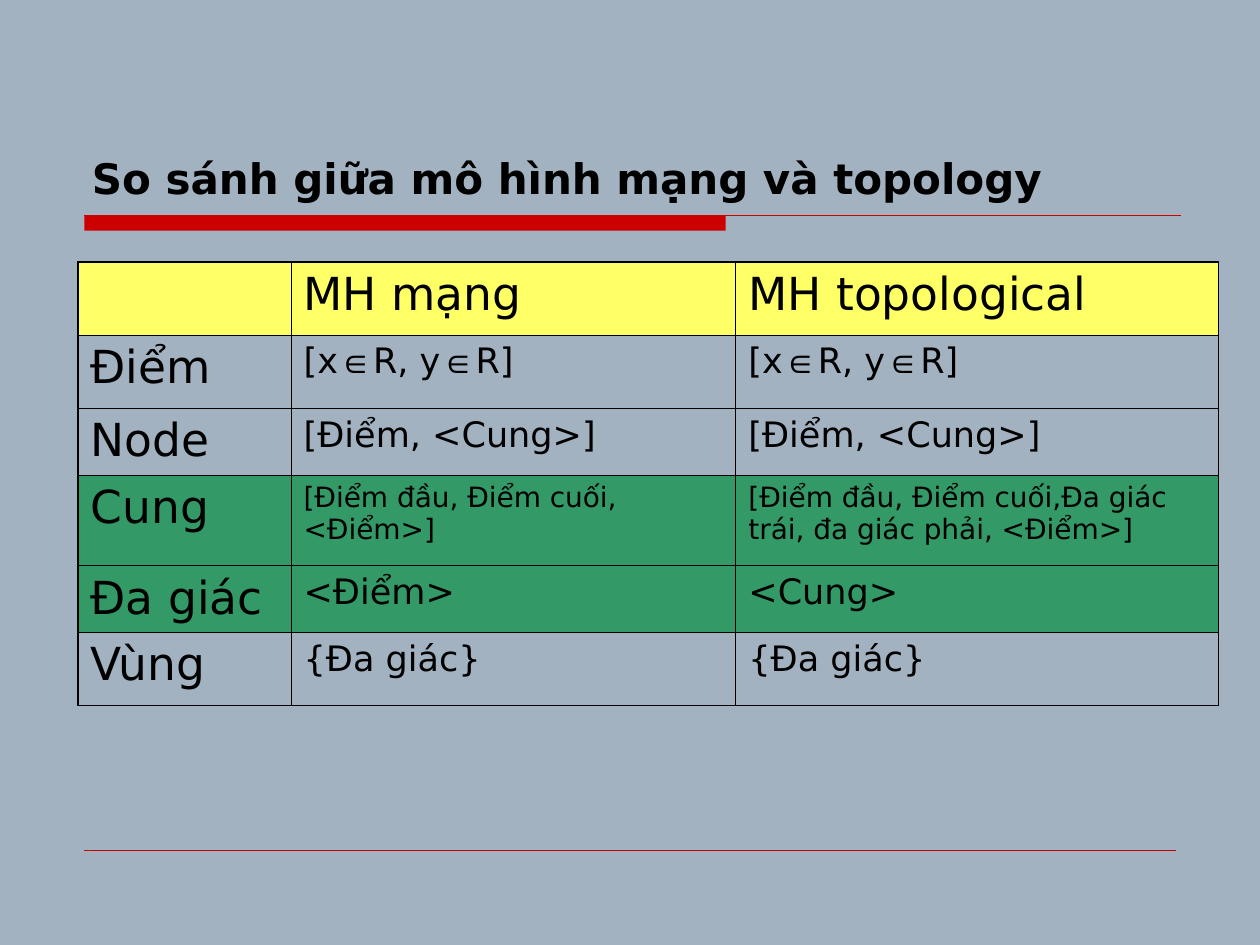
from dataclasses import dataclass

from lxml.etree import SubElement
from pptx import Presentation
from pptx.dml.color import RGBColor as RGB
from pptx.enum.shapes import MSO_CONNECTOR as Connector, MSO_SHAPE as Shape
from pptx.enum.text import MSO_ANCHOR as Anchor, MSO_AUTO_SIZE as AutoSize, PP_ALIGN as Align
from pptx.oxml.ns import qn
from pptx.util import Inches, Pt


@dataclass(frozen=True)
class Theme:
    background: RGB = RGB.from_string("A3B2C1")
    accent: RGB = RGB.from_string("CC0000")
    text: RGB = RGB.from_string("000000")
    header: RGB = RGB.from_string("FFFF66")
    highlight: RGB = RGB.from_string("339966")
    font: str = "DejaVu Sans"
    symbol_font: str = "Arial"
    title_size: int = 24
    label_size: int = 26
    body_size: int = 20
    small_size: int = 16
    inner_border: float = 0.45
    outer_border: float = 1.08


THEME = Theme()
COLUMN_WIDTHS = (1.69, 3.53, 3.83)
ROWS = (
    (0.58, THEME.header, THEME.label_size, ("", "MH mạng", "MH topological")),
    (0.58, None, THEME.body_size, ("Điểm", "[x∈R, y∈R]", "[x∈R, y∈R]")),
    (0.53, None, THEME.body_size, ("Node", "[Điểm, <Cung>]", "[Điểm, <Cung>]")),
    (0.72, THEME.highlight, THEME.small_size, (
        "Cung",
        "[Điểm đầu, Điểm cuối, <Điểm>]",
        "[Điểm đầu, Điểm cuối,Đa giác trái, đa giác phải, <Điểm>]",
    )),
    (0.53, THEME.highlight, THEME.body_size, ("Đa giác", "<Điểm>", "<Cung>")),
    (0.58, None, THEME.body_size, ("Vùng", "{Đa giác}", "{Đa giác}")),
)


def apply_format(target, values):
    for name, value in values.items():
        setattr(target, name, value)


def add_run(paragraph, text, size, font=THEME.font, bold=False):
    run = paragraph.add_run()
    run.text = text
    apply_format(run.font, {"name": font, "size": Pt(size), "bold": bold})
    run.font.color.rgb = THEME.text


def add_title(slide, text, left, top, width, height):
    title = slide.shapes.title
    apply_format(title, {"left": left, "top": top, "width": width, "height": height})
    apply_format(title.text_frame, {
        "vertical_anchor": Anchor.BOTTOM,
        "auto_size": AutoSize.NONE,
        "word_wrap": True,
    })
    paragraph = title.text_frame.paragraphs[0]
    paragraph.alignment = Align.LEFT
    add_run(paragraph, text, THEME.title_size, bold=True)


def add_rule(slide, left, top, width, weight):
    rule = slide.shapes.add_connector(Connector.STRAIGHT, left, top, left + width, top)
    rule.line.color.rgb = THEME.accent
    rule.line.width = Pt(weight)
    SubElement(rule._element.spPr, qn("a:effectLst"))


def add_title_bar(slide, left, top, width, height, bar_width):
    bar = slide.shapes.add_shape(Shape.RECTANGLE, left, top, bar_width, height)
    bar.shadow.inherit = False
    bar.fill.solid()
    bar.fill.fore_color.rgb = THEME.accent
    bar.line.fill.background()
    add_rule(slide, left, top, width, 0.75)


def set_borders(cell, outer_edges):
    properties = cell._tc.get_or_add_tcPr()
    for edge, is_outer in outer_edges.items():
        weight = THEME.outer_border if is_outer else THEME.inner_border
        line = SubElement(properties, qn(f"a:ln{edge}"), w=str(Pt(weight)))
        fill = SubElement(line, qn("a:solidFill"))
        SubElement(fill, qn("a:srgbClr"), val=str(THEME.text))


def fill_cell(cell, text, size, color):
    if color is None:
        cell.fill.background()
    else:
        cell.fill.solid()
        cell.fill.fore_color.rgb = color
    paragraph = cell.text_frame.paragraphs[0]
    paragraph.space_before = Pt(size / 4)
    for index, part in enumerate(text.split("∈")):
        if index:
            add_run(paragraph, "∈", size, THEME.symbol_font)
        if part:
            add_run(paragraph, part, size)


def add_comparison_table(slide, left, top, width, height):
    last_row, last_column = len(ROWS) - 1, len(COLUMN_WIDTHS) - 1
    table = slide.shapes.add_table(
        len(ROWS), len(COLUMN_WIDTHS), left, top, width, height
    ).table
    apply_format(table, {"first_row": False, "horz_banding": False})
    for column, column_width in zip(table.columns, COLUMN_WIDTHS):
        column.width = Inches(column_width)
    for row, (row_height, color, size, texts) in enumerate(ROWS):
        table.rows[row].height = Inches(row_height)
        for column, text in enumerate(texts):
            cell = table.cell(row, column)
            set_borders(cell, {
                "L": column == 0,
                "R": column == last_column,
                "T": row == 0,
                "B": row == last_row,
            })
            fill_cell(cell, text, size if column else THEME.label_size, color)


def main():
    presentation = Presentation()
    apply_format(presentation, {"slide_width": Inches(10), "slide_height": Inches(7.5)})
    slide = presentation.slides.add_slide(presentation.slide_layouts[5])
    slide.background.fill.solid()
    slide.background.fill.fore_color.rgb = THEME.background
    add_title_bar(slide, Inches(0.67), Inches(1.71), Inches(8.7), Inches(0.12), Inches(5.09))
    add_rule(slide, Inches(0.67), Inches(6.75), Inches(8.66), 0.25)
    add_title(
        slide, "So sánh giữa mô hình mạng và topology",
        Inches(0.63), Inches(0.33), Inches(8.75), Inches(1.33),
    )
    add_comparison_table(slide, Inches(0.62), Inches(2.08), Inches(9.05), Inches(3.53))
    presentation.save("out.pptx")


if __name__ == "__main__":
    main()
